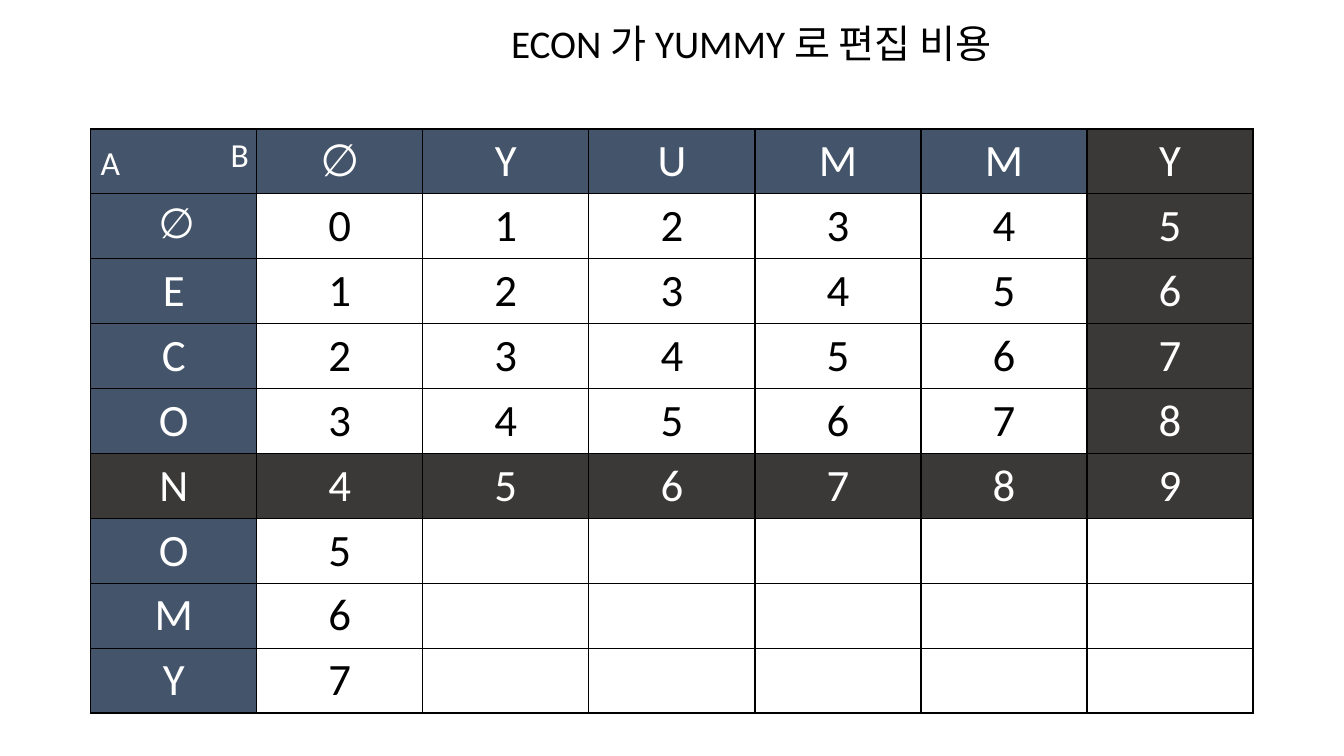
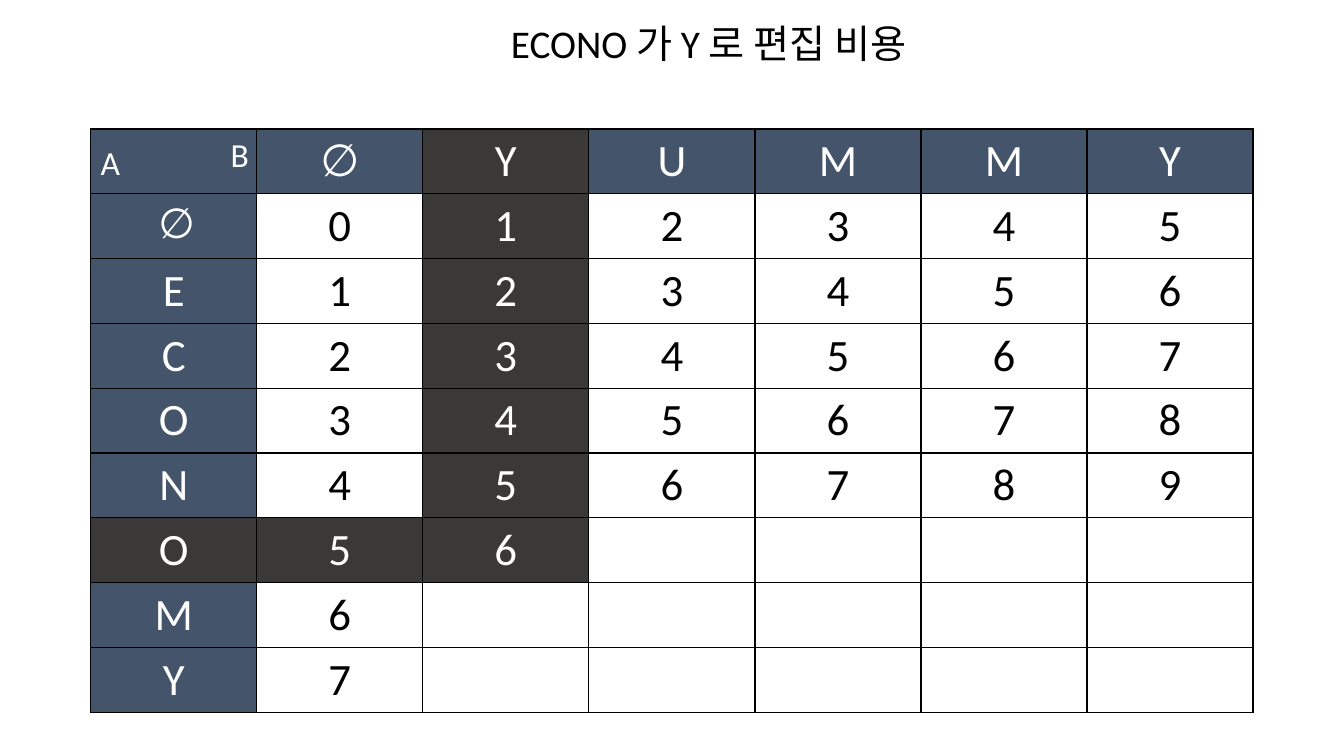
import pptx
import pptx.dml.color
import pptx.enum.text
import pptx.oxml
import pptx.oxml.ns
import pptx.util
from pptx.util import Inches

SOURCE, TARGET = "ECONOMY", "YUMMY"
EMPTY = "∅"


def rgb(color):
    return pptx.dml.color.RGBColor.from_string(color)


class Deck:
    FONT = "Calibri"
    BLACK, WHITE = "000000", "FFFFFF"
    HEADER, ACTIVE = "44546A", "3B3838"
    LEFT, TOP, COL_W, ROW_H = 0.9, 1.28, 1.647, 0.643

    def __init__(self):
        self.prs = pptx.Presentation()
        self.prs.slide_width = Inches(13.33)
        self.prs.slide_height = Inches(7.5)
        self.s = None

    def add_slide(self):
        self.s = self.prs.slides.add_slide(self.prs.slide_layouts[6])

    def style(self, r, size, color):
        r.font.name = self.FONT
        r.font.size = pptx.util.Pt(size)
        r.font.color.rgb = rgb(color)
        r.font.bold = False

    def text(self, text, x, y, w, h, size, color, wrap=False):
        tf = self.s.shapes.add_textbox(Inches(x), Inches(y), Inches(w), Inches(h)).text_frame
        tf.word_wrap = wrap
        tf.text = text
        self.style(tf.paragraphs[0].runs[0], size, color)

    def borders(self, cell):
        tc_pr = cell._tc.get_or_add_tcPr()
        for side in ("lnL", "lnR", "lnT", "lnB"):
            tc_pr.append(pptx.oxml.parse_xml(
                f'<a:{side} {pptx.oxml.ns.nsdecls("a")} w="12700"><a:solidFill>'
                f'<a:srgbClr val="{self.BLACK}"/></a:solidFill></a:{side}>'))

    def cell(self, cell, text, fill):
        self.borders(cell)
        cell.fill.solid()
        cell.fill.fore_color.rgb = rgb(fill)
        if not text:
            return
        p = cell.text_frame.paragraphs[0]
        p.text = text
        p.alignment = pptx.enum.text.PP_ALIGN.CENTER
        self.style(p.runs[0], 32, self.BLACK if fill == self.WHITE else self.WHITE)

    def empty_row_label(self, cell):
        # The row label is a small space followed by a smaller symbol
        p = cell.text_frame.paragraphs[0]
        p.text = " "
        self.style(p.runs[0], 18, self.WHITE)
        r = p.add_run()
        r.text = EMPTY
        self.style(r, 30, self.WHITE)

    def cost_table(self, row, col):
        """Edit costs known up to (row, col), with the path to that cell marked."""
        rows, cols = " " + EMPTY + SOURCE, " " + EMPTY + TARGET
        table = self.s.shapes.add_table(
            len(rows), len(cols), Inches(self.LEFT), Inches(self.TOP),
            Inches(self.COL_W * len(cols)), Inches(self.ROW_H * len(rows))).table
        table.first_row = table.horz_banding = False
        for i, row_label in enumerate(rows):
            for j, col_label in enumerate(cols):
                active = (i == row and j <= col) or (j == col and i <= row)
                is_header = i == 0 or j == 0
                if is_header:
                    text = (row_label if j == 0 else col_label).strip()
                else:
                    known = j == 1 or (i, j) <= (row, col)
                    text = str(i + j - 2) if known else ""
                fill = self.ACTIVE if active else self.HEADER if is_header else self.WHITE
                self.cell(table.cell(i, j), text, fill)
        self.empty_row_label(table.cell(1, 0))

    def cost_slide(self, row, col, title_w):
        self.add_slide()
        self.cost_table(row, col)
        # Names of the two words in the corner cell
        self.text("A", self.LEFT, 1.36, 0.4, 0.5, 24, self.WHITE)
        self.text("B", 2.19, self.TOP, 0.38, 0.5, 24, self.WHITE)
        # Title
        title = f"{SOURCE[:row - 1]} 가 {TARGET[:col - 1]} 로 편집 비용"
        self.text(title, 4.97, 0.14, title_w, 0.57, 28, self.BLACK, wrap=True)


def main():
    deck = Deck()
    for row, col, title_w in ((5, 6, 5.22), (6, 2, 4.36)):
        deck.cost_slide(row, col, title_w)
    deck.prs.save("out.pptx")


if __name__ == "__main__":
    main()
